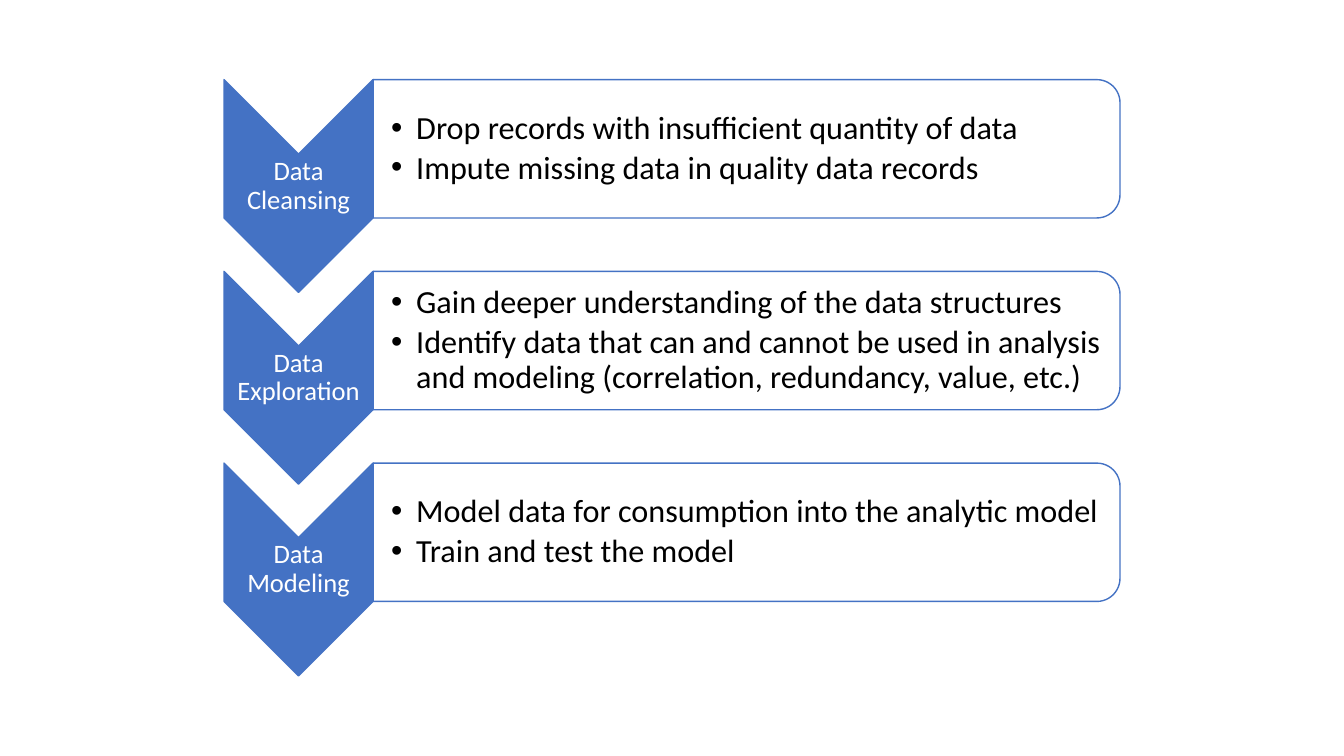
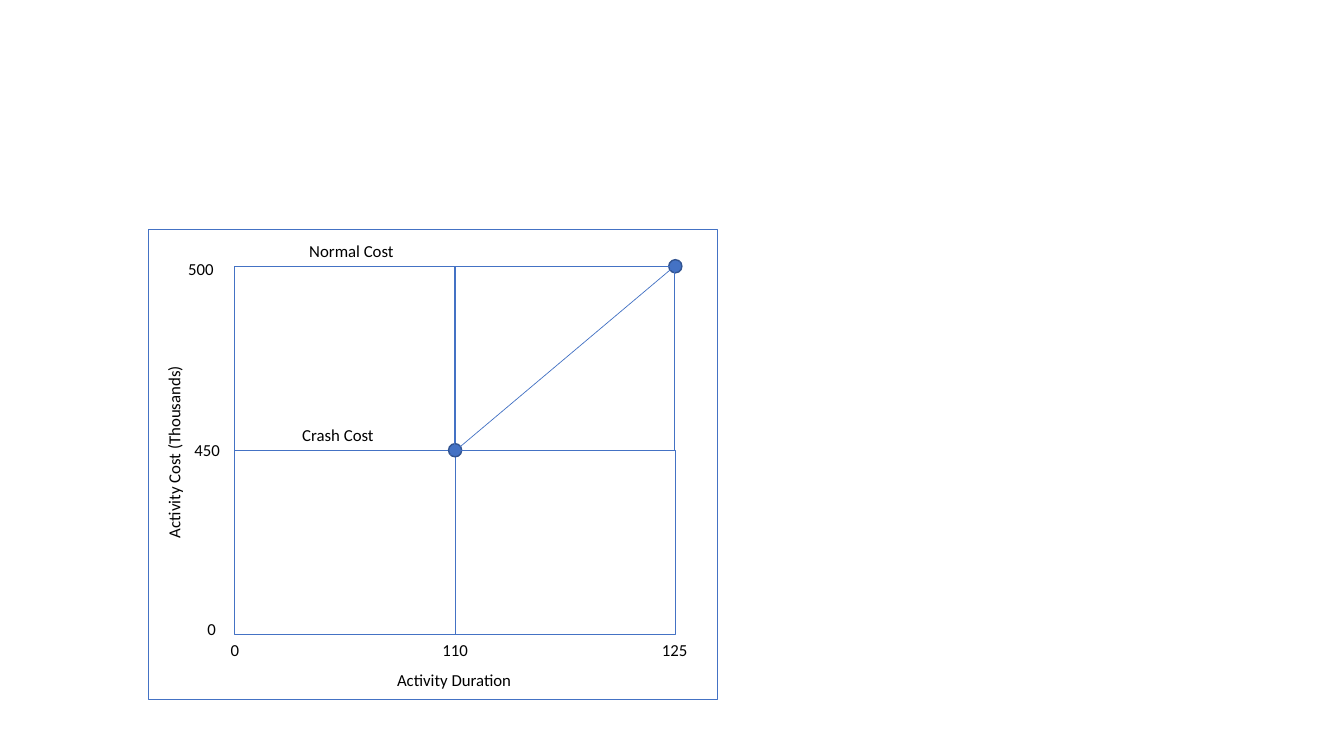
from lxml import etree
from pptx import Presentation
from pptx.dml.color import RGBColor
from pptx.enum import shapes, text
from pptx.oxml import ns
from pptx.util import Pt

FONT = "Calibri"
BLUE, DARK_BLUE, WHITE, BLACK = "4472C4", "325491", "FFFFFF", "000000"

STEPS = [
    ("Data Cleansing", [
        "Drop records with insufficient quantity of data",
        "Impute missing data in quality data records"]),
    ("Data Exploration", [
        "Gain deeper understanding of the data structures",
        "Identify data that can and cannot be used in analysis and modeling "
        "(correlation, redundancy, value, etc.)"]),
    ("Data Modeling", [
        "Model data for consumption into the analytic model",
        "Train and test the model"]),
]
STEP_TOP, STEP_PITCH = 56.9, 136.95
ARROW_LEFT, ARROW_WIDTH, ARROW_HEIGHT = 160, 106.5, 152
PANEL_WIDTH, PANEL_HEIGHT = 533.5, 98.8

GRID_LEFT, GRID_TOP = 167.8, 190.2
CELL_WIDTH, CELL_HEIGHT = 157.3, 131.4
DOT_RADIUS = 4.7
# text, left, top, width, rotation
CHART_LABELS = [
    ("Normal Cost", 213.8, 168.5, 75.6, 0),
    ("Crash Cost", 208.8, 299.5, 66.2, 0),
    ("Activity Duration", 276.5, 474.5, 97.2, 0),
    ("Activity Cost (Thousands)", 54.7, 311, 139, 270),
    ("500", 127.4, 181.4, 33.1, 0),
    ("450", 131.8, 310.3, 33.1, 0),
    ("0", 141.1, 438.5, 20.9, 0),
    ("0", 157.7, 453.6, 20.9, 0),
    ("110", 308.9, 453.6, 33.1, 0),
    ("125", 465.8, 453.6, 33.1, 0),
]


def colour(value):
    return RGBColor.from_string(value)


def add_outline(page, kind, left, top, width, height, fill=None, line=BLUE, weight=0.75):
    box = page.shapes.add_shape(kind, Pt(left), Pt(top), Pt(width), Pt(height))
    box.shadow.inherit = False
    if fill:
        box.fill.solid()
        box.fill.fore_color.rgb = colour(fill)
    else:
        box.fill.background()
    box.line.color.rgb = colour(line)
    box.line.width = Pt(weight)
    return box


def add_turned(page, kind, left, top, width, height, fill):
    """Add a shape turned by 90 degrees; the frame is the one seen after the turn."""
    shift = (width - height) / 2
    box = add_outline(page, kind, left + shift, top - shift, height, width, fill, weight=1)
    box.rotation = 90


def add_text(page, lines, left, top, width, height, size, ink=BLACK,
             insets=(7.2, 3.6, 7.2, 3.6), wrap=True, anchor=text.MSO_ANCHOR.MIDDLE):
    box = page.shapes.add_textbox(Pt(left), Pt(top), Pt(width), Pt(height))
    frame = box.text_frame
    frame.word_wrap = wrap
    frame.vertical_anchor = anchor
    (frame.margin_left, frame.margin_top,
     frame.margin_right, frame.margin_bottom) = map(Pt, insets)
    for index, line in enumerate(lines):
        para = frame.add_paragraph() if index else frame.paragraphs[0]
        span = para.add_run()
        span.text = line
        span.font.name = FONT
        span.font.size = Pt(size)
        span.font.color.rgb = colour(ink)
    return box


def add_bullet(para, indent):
    props = para._p.get_or_add_pPr()
    props.set("marL", str(Pt(indent)))
    props.set("indent", str(-Pt(indent)))
    etree.SubElement(props, ns.qn("a:buFont")).set("typeface", "Arial")
    etree.SubElement(props, ns.qn("a:buChar")).set("char", "•")


def add_step(page, top, name, points):
    panel_left = ARROW_LEFT + ARROW_WIDTH
    add_turned(page, shapes.MSO_SHAPE.CHEVRON,
               ARROW_LEFT, top, ARROW_WIDTH, ARROW_HEIGHT, BLUE)
    title = add_text(page, [name], ARROW_LEFT, top + 53.3, ARROW_WIDTH, 45.4,
                     19, WHITE, (0.9,) * 4)
    para = title.text_frame.paragraphs[0]
    para.alignment = text.PP_ALIGN.CENTER
    para.line_spacing = 0.9

    add_turned(page, shapes.MSO_SHAPE.ROUND_2_SAME_RECTANGLE,
               panel_left, top, PANEL_WIDTH, PANEL_HEIGHT, WHITE)
    body = add_text(page, points, panel_left, top + 4.8, 528.5, 89.2,
                    23, insets=(12.8, 1.1, 1.1, 1.1))
    for para in body.text_frame.paragraphs:
        para.line_spacing = 0.9
        para.space_after = Pt(3.45)
        add_bullet(para, 18)


def add_line(page, start, end, weight):
    line = page.shapes.add_connector(shapes.MSO_CONNECTOR.STRAIGHT,
                                     *map(Pt, start + end))
    line.line.color.rgb = colour(BLUE)
    line.line.width = Pt(weight)
    etree.SubElement(line._element.spPr, ns.qn("a:effectLst"))


def grid_point(column, row):
    return GRID_LEFT + column * CELL_WIDTH, GRID_TOP + row * CELL_HEIGHT


def add_cell(page, column, row, nudge=0):
    left, top = grid_point(column, row)
    add_outline(page, shapes.MSO_SHAPE.RECTANGLE,
                left - nudge, top + nudge, CELL_WIDTH, CELL_HEIGHT)


def add_dot(page, centre):
    x, y = centre
    add_outline(page, shapes.MSO_SHAPE.OVAL, x - DOT_RADIUS, y - DOT_RADIUS,
                2 * DOT_RADIUS, 2 * DOT_RADIUS, BLUE, DARK_BLUE, 1)


def build_process(page):
    for index, (name, points) in enumerate(STEPS):
        add_step(page, STEP_TOP + index * STEP_PITCH, name, points)


def build_cost_chart(page):
    add_outline(page, shapes.MSO_SHAPE.RECTANGLE, 105.8, 164.2, 406.4, 335.5)
    for column, row in [(0, 0), (0, 1), (1, 1)]:
        add_cell(page, column, row)
    for label, left, top, width, rotation in CHART_LABELS:
        box = add_text(page, [label], left, top, width, 21.8, 12,
                       wrap=False, anchor=text.MSO_ANCHOR.TOP)
        box.rotation = rotation
    crash, normal = grid_point(1, 1), grid_point(2, 0)
    for centre in (crash, normal):
        add_dot(page, centre)
    add_cell(page, 1, 0, nudge=0.4)
    reach = DOT_RADIUS * 0.71
    add_line(page, (crash[0] - reach, crash[1] + reach),
             (normal[0] + reach, normal[1] - reach), 0.5)


def main():
    deck = Presentation()
    deck.slide_width, deck.slide_height = Pt(960), Pt(540)
    for build in (build_process, build_cost_chart):
        build(deck.slides.add_slide(deck.slide_layouts[6]))
    deck.save("out.pptx")


if __name__ == "__main__":
    main()
